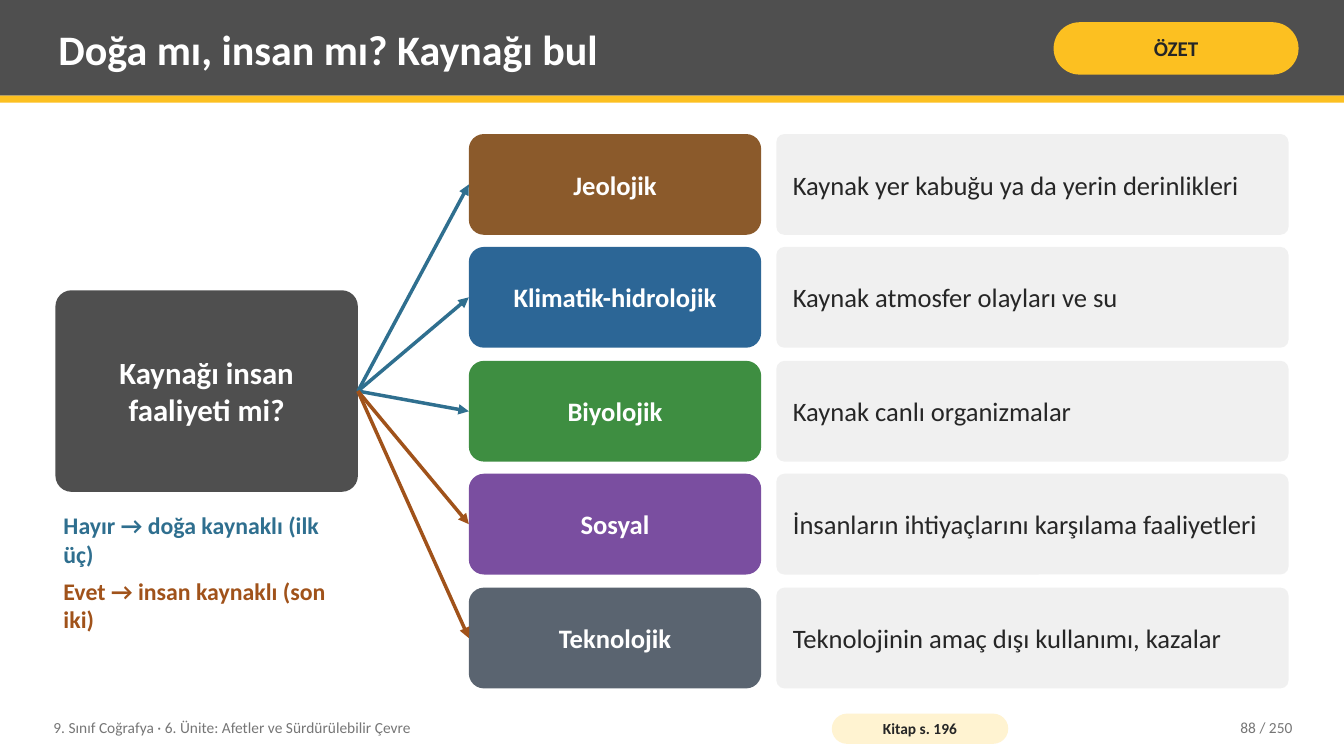
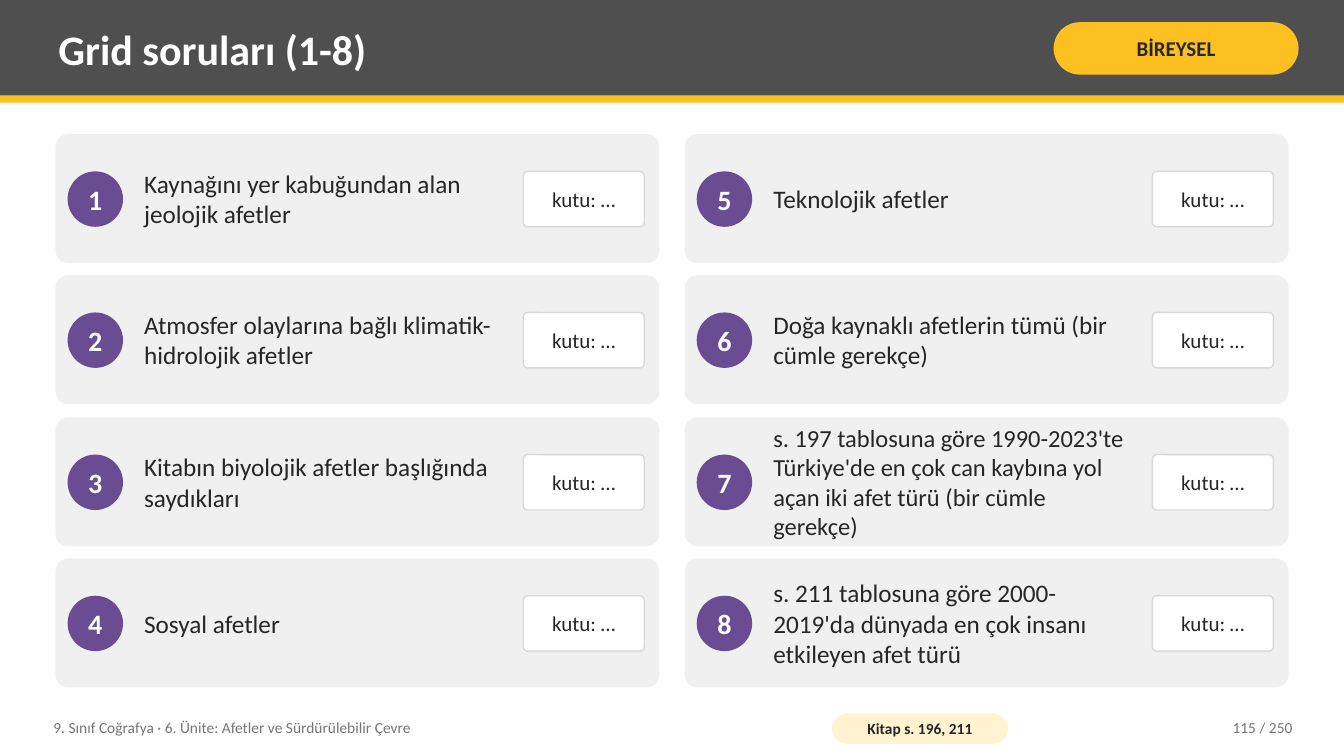
"""Build two geography slides: a disaster source diagram and a question grid."""
from lxml.etree import SubElement
from pptx import Presentation
from pptx.dml.color import RGBColor
from pptx.enum.shapes import MSO_CONNECTOR, MSO_SHAPE as PRESET
from pptx.enum.text import MSO_ANCHOR as ANCHOR, MSO_AUTO_SIZE, PP_ALIGN as ALIGN
from pptx.oxml.ns import qn
from pptx.util import Pt

PX = 9144
FONT = "Calibri"
WHITE = RGBColor(0xFF, 0xFF, 0xFF)
CHARCOAL = RGBColor(0x4F, 0x4F, 0x4F)
YELLOW = RGBColor(0xFC, 0xC0, 0x21)
CREAM = RGBColor(0xFF, 0xF3, 0xD1)
INK = RGBColor(0x26, 0x26, 0x26)
MUTED = RGBColor(0x76, 0x76, 0x76)
PANEL = RGBColor(0xF0, 0xF0, 0xF0)
BORDER = RGBColor(0xD9, 0xD9, 0xD9)
NATURE = RGBColor(0x2F, 0x6F, 0x8F)
HUMAN = RGBColor(0xA0, 0x52, 0x1A)
BROWN = RGBColor(0x8B, 0x5A, 0x2B)
BLUE = RGBColor(0x2C, 0x66, 0x96)
GREEN = RGBColor(0x3E, 0x8E, 0x41)
PURPLE = RGBColor(0x7A, 0x4E, 0xA0)
SLATE = RGBColor(0x5A, 0x64, 0x70)
VIOLET = RGBColor(0x6A, 0x4C, 0x93)


def add_block(slide, box, fill, radius=None, preset=PRESET.ROUNDED_RECTANGLE):
    block = slide.shapes.add_shape(preset, *(length * PX for length in box))
    block.shadow.inherit = False
    block.fill.solid()
    block.fill.fore_color.rgb = fill
    block.line.fill.background()
    if radius is not None:
        block.adjustments[0] = radius
    return block


def write(shape, lines, size, color, bold=False, align=ALIGN.LEFT,
          inset=(8, 4), anchor=ANCHOR.MIDDLE):
    frame = shape.text_frame
    frame.auto_size = MSO_AUTO_SIZE.NONE
    frame.word_wrap = True
    frame.vertical_anchor = anchor
    frame.margin_left = frame.margin_right = inset[0] * PX
    frame.margin_top = frame.margin_bottom = inset[1] * PX
    frame.text = lines
    for paragraph in frame.paragraphs:
        paragraph.alignment = align
        paragraph.font.name = FONT
        paragraph.font.size = Pt(size)
        paragraph.font.bold = bold
        paragraph.font.color.rgb = color
    return frame.paragraphs


deck = Presentation()
deck.slide_width, deck.slide_height = 1333 * PX, 750 * PX

pages = [
    ("Doğa mı, insan mı? Kaynağı bul", "ÖZET", "Kitap s. 196", "88 / 250"),
    ("Grid soruları (1-8)", "BİREYSEL", "Kitap s. 196, 211", "115 / 250"),
]
slides = []
for heading, activity, book_page, page_number in pages:
    slide = deck.slides.add_slide(deck.slide_layouts[5])
    slides.append(slide)
    add_block(slide, (0, 0, 1333, 95), CHARCOAL, preset=PRESET.RECTANGLE)
    add_block(slide, (0, 95, 1333, 7), YELLOW, preset=PRESET.RECTANGLE)
    title = slide.shapes.title
    title.element.getparent().append(title.element)
    title.left, title.top, title.width, title.height = 50 * PX, 7 * PX, 975 * PX, 82 * PX
    write(title, heading, 30, WHITE, True)
    badge = add_block(slide, (1045, 22, 243, 52), YELLOW, 0.5)
    write(badge, activity, 15, INK, True, ALIGN.CENTER, (5, 2))

    unit = slide.shapes.add_textbox(45 * PX, 704 * PX, 760 * PX, 36 * PX)
    write(unit, "9. Sınıf Coğrafya · 6. Ünite: Afetler ve Sürdürülebilir Çevre", 11, MUTED)
    reference = add_block(slide, (825, 708, 175, 30), CREAM, 0.5)
    write(reference, book_page, 11, INK, True, ALIGN.CENTER, (4, 0))
    counter = slide.shapes.add_textbox(1130 * PX, 704 * PX, 160 * PX, 36 * PX)
    write(counter, page_number, 11, MUTED, align=ALIGN.RIGHT)

source_slide, grid_slide = slides
TOP = 133

question = add_block(source_slide, (55, 288, 300, 200), CHARCOAL, 0.08)
write(question, "Kaynağı insan faaliyeti mi?", 22, WHITE, True, ALIGN.CENTER, (14, 8))
categories = [
    ("Jeolojik", "Kaynak yer kabuğu ya da yerin derinlikleri", BROWN, NATURE),
    ("Klimatik-hidrolojik", "Kaynak atmosfer olayları ve su", BLUE, NATURE),
    ("Biyolojik", "Kaynak canlı organizmalar", GREEN, NATURE),
    ("Sosyal", "İnsanların ihtiyaçlarını karşılama faaliyetleri", PURPLE, HUMAN),
    ("Teknolojik", "Teknolojinin amaç dışı kullanımı, kazalar", SLATE, HUMAN),
]
for row, (name, origin, fill, branch) in enumerate(categories):
    top = TOP + row * 225 // 2
    category = add_block(source_slide, (465, top, 290, 100), fill, 0.15)
    write(category, name, 19, WHITE, True, ALIGN.CENTER, (14, 8))
    description = add_block(source_slide, (770, top, 508, 100), PANEL, 0.08)
    write(description, origin, 19, INK, inset=(14, 8))
    arrow = source_slide.shapes.add_connector(MSO_CONNECTOR.STRAIGHT, 0, 0, 0, 0)
    arrow.begin_connect(question, 3)
    arrow.end_connect(category, 1)
    arrow.line.color.rgb = branch
    arrow.line.width = Pt(2.5)
    properties = arrow.element.spPr
    SubElement(properties.find(qn("a:ln")), qn("a:tailEnd"), type="triangle")
    SubElement(properties, qn("a:effectLst"))

legend = source_slide.shapes.add_textbox(55 * PX, 503 * PX, 300 * PX, 160 * PX)
no_line, yes_line = write(
    legend, "Hayır → doğa kaynaklı (ilk üç)\nEvet → insan kaynaklı (son iki)",
    17, NATURE, True, anchor=ANCHOR.TOP)
no_line.space_after = Pt(6)
yes_line.font.color.rgb = HUMAN

prompts = [
    ("Kaynağını yer kabuğundan alan jeolojik afetler", 18),
    ("Atmosfer olaylarına bağlı klimatik-hidrolojik afetler", 18),
    ("Kitabın biyolojik afetler başlığında saydıkları", 18),
    ("Sosyal afetler", 18),
    ("Teknolojik afetler", 18),
    ("Doğa kaynaklı afetlerin tümü (bir cümle gerekçe)", 18),
    ("s. 197 tablosuna göre 1990-2023'te Türkiye'de en çok can kaybına yol açan "
     "iki afet türü (bir cümle gerekçe)", 17.5),
    ("s. 211 tablosuna göre 2000-2019'da dünyada en çok insanı etkileyen afet türü", 18),
]
for index, (prompt, size) in enumerate(prompts):
    column, row = divmod(index, 4)
    left, top = 55 + column * 624, TOP + row * 281 // 2
    add_block(grid_slide, (left, top, 599, 128), PANEL, 0.1)
    number = add_block(grid_slide, (left + 12, top + 37, 55, 55), VIOLET, preset=PRESET.OVAL)
    write(number, str(index + 1), 20, WHITE, True, ALIGN.CENTER, (0, 0))
    prompt_text = grid_slide.shapes.add_textbox(
        (left + 80) * PX, top * PX, 374 * PX, 128 * PX)
    write(prompt_text, prompt, size, INK)
    answer = add_block(grid_slide, (left + 464, top + 37, 120, 55), WHITE, 0.08)
    answer.line.color.rgb = BORDER
    answer.line.width = Pt(1)
    write(answer, "kutu: …", 15, INK, align=ALIGN.CENTER, inset=(4, 8))

deck.save("out.pptx")
